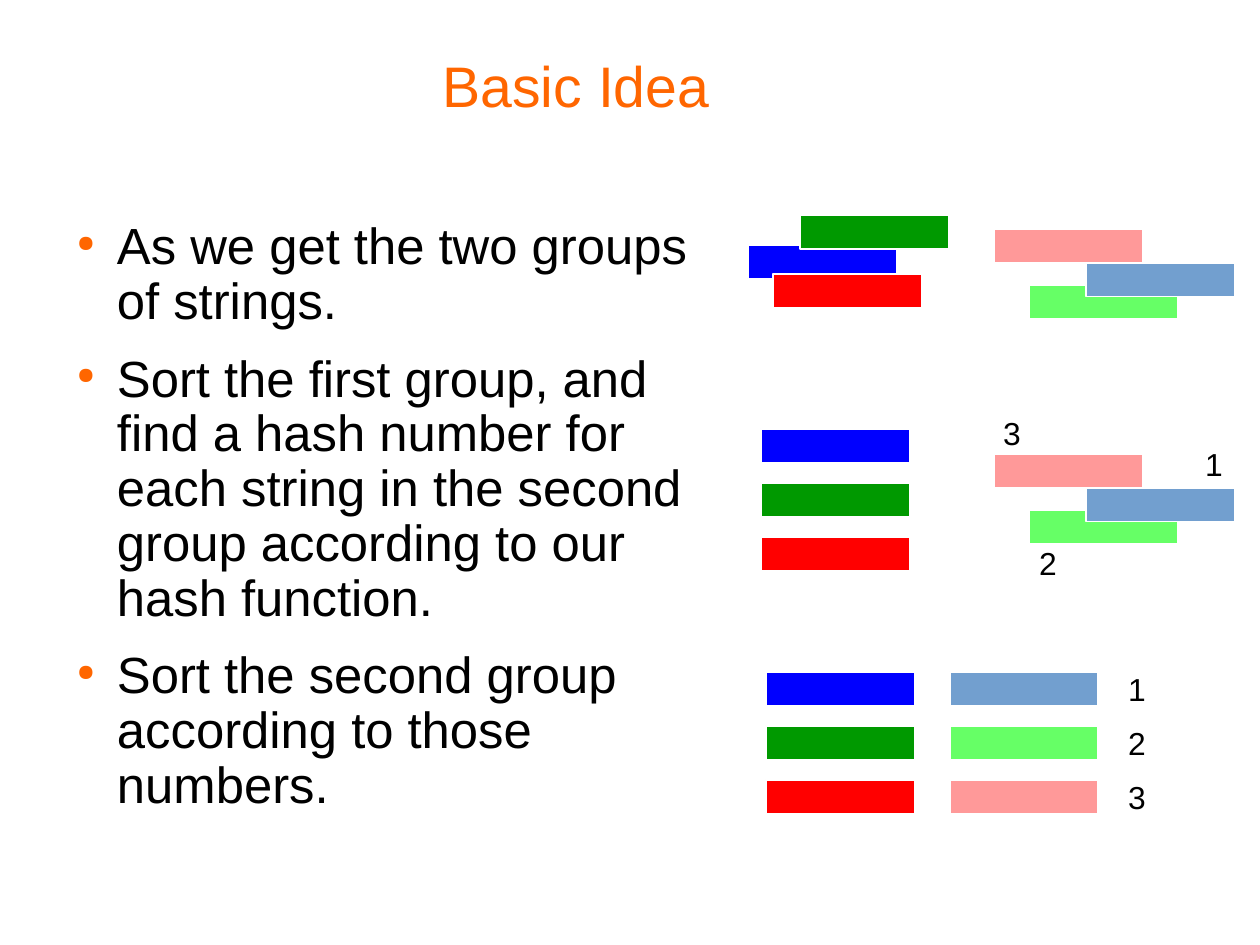
from lxml import etree
from pptx import Presentation
from pptx import util as u
from pptx.dml.color import RGBColor
from pptx.enum import shapes, text
from pptx.oxml.ns import qn

PX = 8000  # EMU per pixel
ORANGE = RGBColor(0xFF, 0x66, 0x00)
BLACK = RGBColor(0x00, 0x00, 0x00)
WHITE = RGBColor(0xFF, 0xFF, 0xFF)
BLUE = RGBColor(0x00, 0x00, 0xFF)
GREEN = RGBColor(0x00, 0x99, 0x00)
RED = RGBColor(0xFF, 0x00, 0x00)
PALE_BLUE = RGBColor(0x72, 0x9F, 0xCF)
PALE_GREEN = RGBColor(0x66, 0xFF, 0x66)
PALE_RED = RGBColor(0xFF, 0x99, 0x99)

BAR_WIDTH, LABEL_WIDTH, BAR_HEIGHT, ROW_STEP = 149, 78, 34, 54

deck = Presentation()
deck.slide_width, deck.slide_height = 1260 * PX, 945 * PX
slide = deck.slides.add_slide(deck.slide_layouts[5])


def add_words(paragraph, words, size, color):
    """Add one Arial run to a paragraph."""
    run = paragraph.add_run()
    run.text = words
    run.font.name = "Arial"
    run.font.size = u.Pt(size)
    run.font.color.rgb = color


def add_bar(left, top, color, number=None):
    """Add a string's bar, or its hash number when one is given."""
    width = BAR_WIDTH if number is None else LABEL_WIDTH
    bar = slide.shapes.add_shape(shapes.MSO_SHAPE.RECTANGLE, left * PX, top * PX,
                                 width * PX, BAR_HEIGHT * PX)
    bar.shadow.inherit = False
    bar.fill.solid()
    bar.fill.fore_color.rgb = color
    bar.line.color.rgb = WHITE
    bar.line.width = u.Pt(0.75)
    if number is not None:
        frame = bar.text_frame
        frame.word_wrap = False
        frame.vertical_anchor = text.MSO_ANCHOR.MIDDLE
        frame.paragraphs[0].alignment = text.PP_ALIGN.CENTER
        add_words(frame.paragraphs[0], str(number), 20, BLACK)


# Title and explanation
title = slide.shapes.title
title.left, title.top, title.width, title.height = 63 * PX, 38 * PX, 1026 * PX, 93 * PX
explanation = slide.shapes.add_textbox(63 * PX, 221 * PX, 646 * PX, 633 * PX)
for box in (title, explanation):
    frame = box.text_frame
    frame.word_wrap = True
    frame.auto_size = text.MSO_AUTO_SIZE.NONE
    frame.margin_left = frame.margin_top = frame.margin_right = frame.margin_bottom = 0
title.text_frame.vertical_anchor = text.MSO_ANCHOR.MIDDLE
heading = title.text_frame.paragraphs[0]
heading.alignment = text.PP_ALIGN.CENTER
add_words(heading, "Basic Idea", 36, ORANGE)

steps = [
    "As we get the two groups of strings.",
    "Sort the first group, and find a hash number for each string in the second "
    "group according to our hash function.",
    "Sort the second group according to those numbers.",
]
for index, step in enumerate(steps):
    frame = explanation.text_frame
    paragraph = frame.add_paragraph() if index else frame.paragraphs[0]
    paragraph.line_spacing = 0.9
    paragraph.space_before = u.Pt(14.1)
    add_words(paragraph, step, 32, BLACK)
    properties = paragraph._p.get_or_add_pPr()
    properties.set("marL", str(54 * PX))
    properties.set("indent", str(-40 * PX))
    bullet_color = etree.SubElement(properties, qn("a:buClr"))
    etree.SubElement(bullet_color, qn("a:srgbClr"), val=str(ORANGE))
    etree.SubElement(properties, qn("a:buSzPct"), val="45000")
    etree.SubElement(properties, qn("a:buChar"), char="●")

first_sorted = [BLUE, GREEN, RED]
second_sorted = [PALE_BLUE, PALE_GREEN, PALE_RED]
second_scattered = [(994, 229, PALE_RED), (1029, 285, PALE_GREEN), (1086, 263, PALE_BLUE)]

# Both groups unsorted
for left, top, color in [(748, 245, BLUE), (800, 215, GREEN), (773, 274, RED)]:
    add_bar(left, top, color)
for left, top, color in second_scattered:
    add_bar(left, top, color)

# First group sorted, second group numbered
for left, top, number in [(1175, 447, 1), (1009, 546, 2), (973, 416, 3)]:
    add_bar(left, top, WHITE, number)
for row, color in enumerate(first_sorted):
    add_bar(761, 429 + row * ROW_STEP, color)
for left, top, color in second_scattered:
    add_bar(left, top + 225, color)

# Both groups sorted
for row, (first, second) in enumerate(zip(first_sorted, second_sorted)):
    top = 672 + row * ROW_STEP
    add_bar(766, top, first)
    add_bar(950, top, second)
    add_bar(1098, top, WHITE, row + 1)

deck.save("out.pptx")
